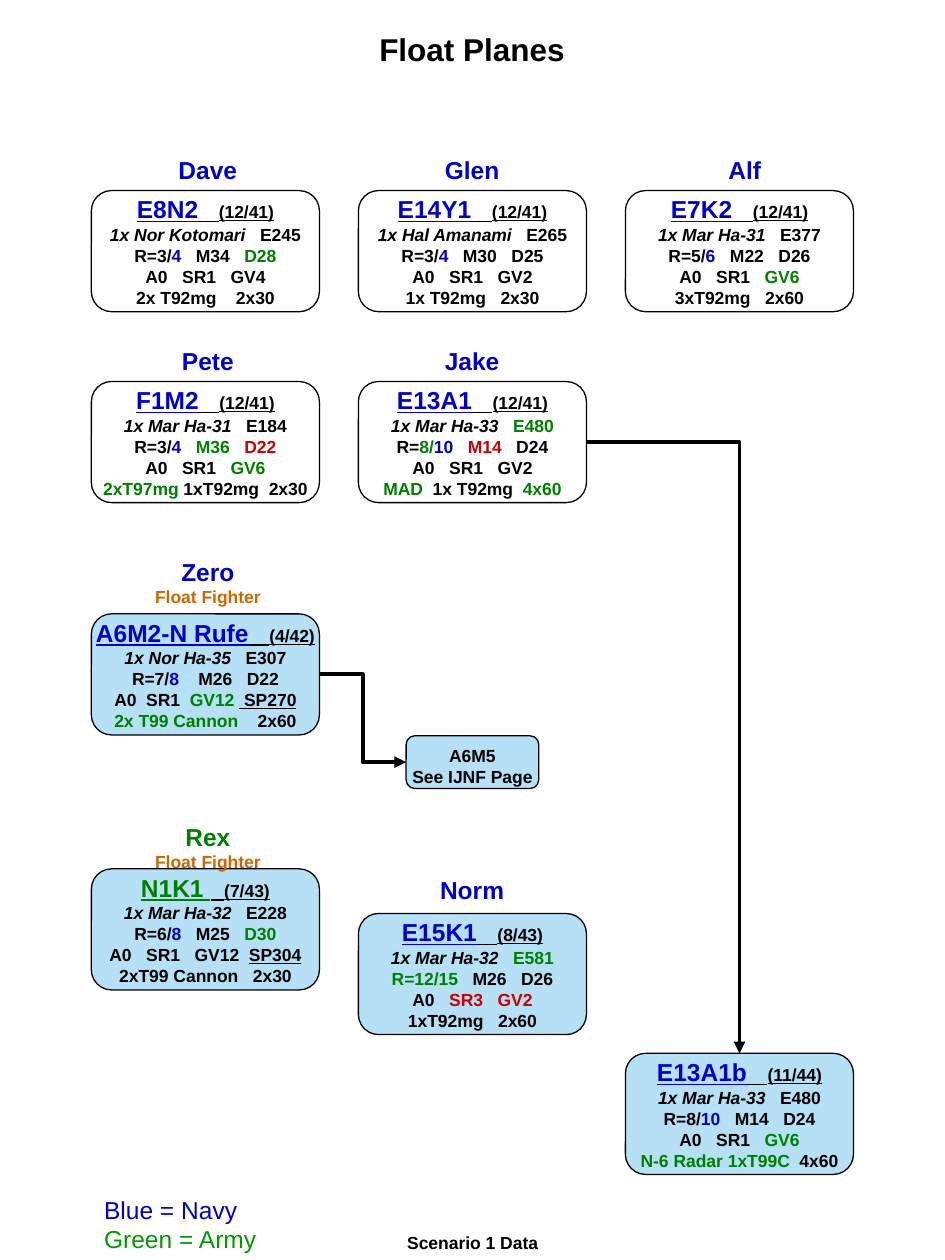
from lxml import etree
from pptx import Presentation
from pptx.dml.color import RGBColor
from pptx.enum.shapes import MSO_CONNECTOR, MSO_SHAPE
from pptx.enum.text import MSO_ANCHOR, MSO_AUTO_SIZE, PP_ALIGN
from pptx.oxml.ns import qn
from pptx.util import Pt

ROUND = MSO_SHAPE.ROUNDED_RECTANGLE
ELBOW = MSO_CONNECTOR.ELBOW
MIDDLE = MSO_ANCHOR.MIDDLE
GROW = MSO_AUTO_SIZE.SHAPE_TO_FIT_TEXT
LEFT, CENTER = PP_ALIGN.LEFT, PP_ALIGN.CENTER
BLACK = RGBColor(0, 0, 0)
WHITE = RGBColor(255, 255, 255)
SKY = RGBColor(0xB5, 0xE0, 0xF5)
BLUE = RGBColor(0, 0, 0xCC)
GREEN = RGBColor(0, 0x80, 0)
LIME = RGBColor(0, 0x99, 0)
RED = RGBColor(0xCC, 0, 0)
ORANGE = RGBColor(0xCC, 0x66, 0)

STYLES = {
    "k": (BLACK, 10, False, False),
    "b": (BLUE, 10, False, False),
    "g": (GREEN, 10, False, False),
    "r": (RED, 10, False, False),
    "o": (ORANGE, 10, False, False),
    "i": (BLACK, 10, True, False),
    "u": (BLACK, 10, False, True),
    "U": (BLACK, 14, False, True),
    "N": (BLUE, 14, False, True),
    "A": (GREEN, 14, False, True),
    "B": (BLUE, 14, False, False),
    "G": (GREEN, 14, False, False),
    "L": (LIME, 14, False, False),
    "T": (BLACK, 18, False, False),
}

prs = Presentation()
prs.slide_width, prs.slide_height = Pt(540), Pt(720)
slide = prs.slides.add_slide(prs.slide_layouts[6])
shapes = slide.shapes


def write(shape, lines, align=CENTER, bold=True):
    frame = shape.text_frame
    for i, line in enumerate(lines):
        para = frame.paragraphs[0] if i == 0 else frame.add_paragraph()
        para.alignment = align
        para.font.name, para.font.bold = "Arial", bold
        for part in line.split("|"):
            run = para.add_run()
            run.text = part[1:]
            font = run.font
            font.color.rgb, size, font.italic, font.underline = STYLES[part[0]]
            font.size = Pt(size)


def add_card(x, y, wide, high, fill, lines):
    card = shapes.add_shape(ROUND, Pt(x), Pt(y), Pt(wide), Pt(high))
    card.shadow.inherit = False
    card.fill.solid()
    card.fill.fore_color.rgb = fill
    card.line.color.rgb, card.line.width = BLACK, Pt(0.75)
    card.text_frame.word_wrap = False
    card.text_frame.vertical_anchor = MIDDLE
    write(card, lines)
    return card


WIDE, HIGH, START, STEP = 130.3, 69.2, 52.2, 152.6
MIDS = [118.8, 269.8, 425.6]
FLOAT = "oFloat Fighter"

planes = [
    (0, 108.9, WHITE, ["BDave"], 85,
     ["NE8N2|U   |u(12/41)", "i1x Nor Kotomari   |kE245", "kR=3/|b4 |k  M34   |gD28",
      "kA0   SR1   GV4", "k2x T92mg    2x30"]),
    (1, 108.9, WHITE, ["BGlen"], 85,
     ["NE14Y1|U   |u(12/41)", "i1x Hal Amanami   |kE265", "kR=3/|b4 |k  M30   D25",
      "kA0   SR1   GV2", "k1x T92mg   2x30"]),
    (2, 108.9, WHITE, ["BAlf"], 85,
     ["NE7K2|U   |u(12/41)", "i1x Mar Ha-31   |kE377", "kR=5/|b6  |k M22   D26",
      "kA0   SR1  |g GV6", "k3xT92mg   2x60"]),
    (0, 218, WHITE, ["BPete"], 194.2,
     ["NF1M2|U   |u(12/41)", "i1x Mar Ha-31   |kE184", "kR=3/|b4   |gM36   |rD22",
      "kA0   SR1   |gGV6", "g2xT97mg|k 1xT92mg  2x30"]),
    (1, 218, WHITE, ["BJake"], 194.2,
     ["NE13A1|U   |u(12/41)", "i1x Mar Ha-33   |gE480", "kR=|g8/|b10   |rM14|k   D24",
      "kA0   SR1   GV2", "gMAD |k 1x T92mg  |g4x60"]),
    (0, 350.8, SKY, ["BZero", FLOAT], 314.8,
     ["NA6M2-N Rufe|U   |u(4/42)", "i1x Nor Ha-35 |k  E307", "kR=7/|b8|k    M26   D22",
      "kA0  SR1  |gGV12 |u SP270", "g2x T99 Cannon|k    2x60"]),
    (0, 496.5, SKY, ["GRex", FLOAT], 466.1,
     ["AN1K1 |U  |u(7/43)", "i1x Mar Ha-32 |k  E228", "kR=6/|b8 |k  M25   |gD30",
      "kA0   SR1   GV12  |uSP304", "k2xT99 Cannon   2x30"]),
    (1, 522, SKY, ["BNorm"], 496.5,
     ["NE15K1|U   |u(8/43)", "i1x Mar Ha-32   |gE581", "gR=12/15 |k  M26   D26",
      "kA0   |rSR3   GV2", "k1xT92mg   2x60"]),
    (2, 601.9, SKY, [], 0,
     ["NE13A1b|U   |u(11/44)", "i1x Mar Ha-33 |k  E480", "kR=8/|b10  |k M14   D24",
      "kA0   SR1   |gGV6", "gN-6 Radar 1xT99C |k 4x60"]),
]

cards = []
texts = [
    (209.5, 13.7, 120.5, 29, ["TFloat Planes"], CENTER, True),
    (225.4, 700.6, 89.3, 19.4, ["kScenario 1 Data"], CENTER, True),
    (52.4, 679.3, 102.2, 41, ["BBlue = Navy", "LGreen = Army"], LEFT, False),
]
for col, top, fill, label, above, lines in planes:
    cards.append(add_card(START + col * STEP, top, WIDE, HIGH, fill, lines))
    if label:
        wide, high = (78, 36.4) if FLOAT in label else (56, 24.2)
        texts.append((MIDS[col] - wide / 2, above, wide, high, label, CENTER, True))

note = add_card(232.1, 420.4, 75.8, 30.2, SKY, ["kA6M5", "kSee IJNF Page"])
note.text_frame.margin_top, note.text_frame.margin_bottom = Pt(4.8), Pt(0)

for x, y, wide, high, lines, align, bold in texts:
    box = shapes.add_textbox(Pt(x), Pt(y), Pt(wide), Pt(high))
    box.text_frame.word_wrap = align == LEFT
    box.text_frame.auto_size = GROW
    write(box, lines, align, bold)

for start, end, side, kind in [(cards[4], cards[8], 0, "bentConnector2"),
                               (cards[5], note, 1, "bentConnector3")]:
    link = shapes.add_connector(ELBOW, 0, 0, 0, 0)
    link.begin_connect(start, 3)
    link.end_connect(end, side)
    link.line.color.rgb, link.line.width = BLACK, Pt(2.25)
    props = link._element.spPr
    props.find(qn("a:prstGeom")).set("prst", kind)
    etree.SubElement(props.find(qn("a:ln")), qn("a:tailEnd"), type="triangle")
    etree.SubElement(props, qn("a:effectLst"))

prs.save("out.pptx")
